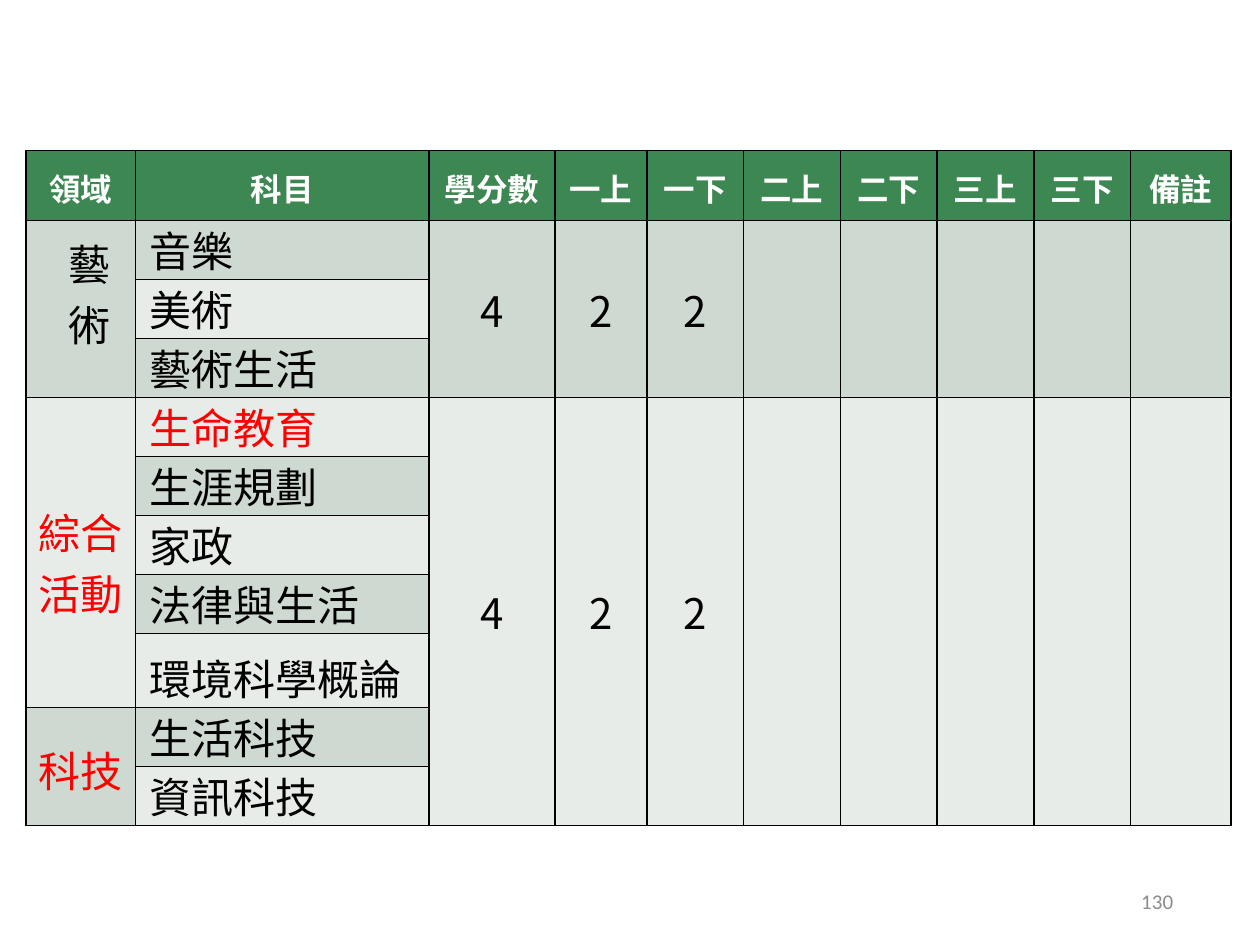
from dataclasses import dataclass
from lxml.etree import SubElement
from pptx import Presentation
from pptx.dml.color import RGBColor as Rgb
from pptx.enum.text import MSO_ANCHOR as Anchor, PP_ALIGN as Align
from pptx.oxml.ns import qn
from pptx.slide import Slide
from pptx.util import Cm, Pt

COLORS = {"black": "000000", "white": "FFFFFF", "red": "FF0000", "gray": "8C8C8C",
          "header": "3D8752", "dark": "CEDAD1", "light": "E8ECE9"}
CJK_FONT = "Noto Sans CJK SC"


@dataclass
class SlideStyle:
    slide: Slide
    font: str = CJK_FONT
    size: float = 24

    def text(self, frame, lines, color="black", align=Align.LEFT, spacing=None, **font_values):
        """Fill a text frame with one paragraph per line."""
        frame.word_wrap = True
        values = {"name": self.font, "size": Pt(self.size), "bold": False, **font_values}
        for number, line in enumerate(lines):
            para = frame.add_paragraph() if number else frame.paragraphs[0]
            para.alignment = align
            if spacing:
                para.line_spacing = Pt(spacing)
            span = para.add_run()
            span.text = line
            for name, value in values.items():
                setattr(span.font, name, value)
            span.font.color.rgb = Rgb.from_string(COLORS[color])
            east_asian = SubElement(span.font._element, qn("a:ea"))
            east_asian.set("typeface", values["name"])

    def table(self, left, top, widths, heights):
        frame = self.slide.shapes.add_table(len(heights), len(widths), Cm(left), Cm(top),
                                            Cm(sum(widths)), Cm(sum(heights)))
        table = frame.table
        for column, width in zip(table.columns, widths):
            column.width = Cm(width)
        for row, height in zip(table.rows, heights):
            row.height = Cm(height)
        for cell in table.iter_cells():
            self.borders(cell)
        return table

    def borders(self, cell):
        properties = cell._tc.get_or_add_tcPr()
        for side in ("lnL", "lnR", "lnT", "lnB"):
            line = SubElement(properties, qn(f"a:{side}"), w=str(Pt(1)))
            fill = SubElement(line, qn("a:solidFill"))
            SubElement(fill, qn("a:srgbClr"), val=COLORS["black"])

    def cell(self, cell, fill, lines=(), left=0, top=0, anchor=Anchor.MIDDLE, **text_values):
        cell.fill.solid()
        cell.fill.fore_color.rgb = Rgb.from_string(COLORS[fill])
        values = {"margin_left": Cm(left), "margin_top": Cm(top), "margin_right": 0,
                  "margin_bottom": 0, "vertical_anchor": anchor}
        for name, value in values.items():
            setattr(cell, name, value)
        if lines:
            self.text(cell.text_frame, lines, **text_values)

    def text_box(self, left, top, width, height, lines, **text_values):
        box = self.slide.shapes.add_textbox(Cm(left), Cm(top), Cm(width), Cm(height))
        values = {"margin_left": 0, "margin_top": 0, "margin_right": 0,
                  "margin_bottom": 0, "vertical_anchor": Anchor.MIDDLE}
        for name, value in values.items():
            setattr(box.text_frame, name, value)
        self.text(box.text_frame, lines, **text_values)


HEADINGS = ["領域", "科目", "學分數", "一上", "一下", "二上", "二下", "三上", "三下", "備註"]
SUBJECTS = ["音樂", "美術", "藝術生活", "生命教育", "生涯規劃", "家政", "法律與生活",
            "環境科學概論", "生活科技", "資訊科技"]
CENTERED = {"align": Align.CENTER}
# First row, last row, fill, lines, cell and text format
DOMAINS = [
    (1, 3, "dark", ["藝 術"], {"left": 0.86, "top": 0.23, "anchor": Anchor.TOP}),
    (4, 8, "light", ["綜合", "活動"], {"top": 0.36, "color": "red", **CENTERED}),
    (9, 10, "dark", ["科技"], {"top": 0.1, "color": "red", **CENTERED}),
]
# First row, last row, fill, credits and hours by term
CREDITS = [(1, 3, "dark", ["4", "2", "2"]), (4, 10, "light", ["4", "2", "2"])]


def main():
    deck = Presentation()
    deck.slide_width, deck.slide_height = Cm(25.4), Cm(19.05)
    page = SlideStyle(deck.slides.add_slide(deck.slide_layouts[6]))

    # Course table
    widths = [2.21, 5.92, 2.54, 1.85] + [1.95] * 5 + [2.03]
    heights = [1.41] + [1.19] * 7 + [1.49] + [1.19] * 2
    table = page.table(0.52, 3.03, widths, heights)

    # Header row
    for column, heading in enumerate(HEADINGS):
        page.cell(table.cell(0, column), "header", [heading], top=0.1, color="white",
                  size=Pt(18), bold=True, **CENTERED)

    # Subjects in alternating bands
    for row, subject in enumerate(SUBJECTS, start=1):
        page.cell(table.cell(row, 1), "dark" if row % 2 else "light", [subject], left=0.28,
                  anchor=Anchor.BOTTOM, spacing=32,
                  color="red" if subject == "生命教育" else "black")

    # Domains
    for first, last, fill, lines, values in DOMAINS:
        table.cell(first, 0).merge(table.cell(last, 0))
        page.cell(table.cell(first, 0), fill, lines, **values)

    # Credits, terms and remarks
    for first, last, fill, numbers in CREDITS:
        for column in range(2, len(HEADINGS)):
            table.cell(first, column).merge(table.cell(last, column))
            page.cell(table.cell(first, column), fill, numbers[column - 2:column - 1], **CENTERED)

    # Page number
    page.text_box(17.93, 17.65, 5.72, 1.02, ["130"], color="gray", align=Align.RIGHT,
                  name="Calibri", size=Pt(12))

    deck.save("out.pptx")


if __name__ == "__main__":
    main()
